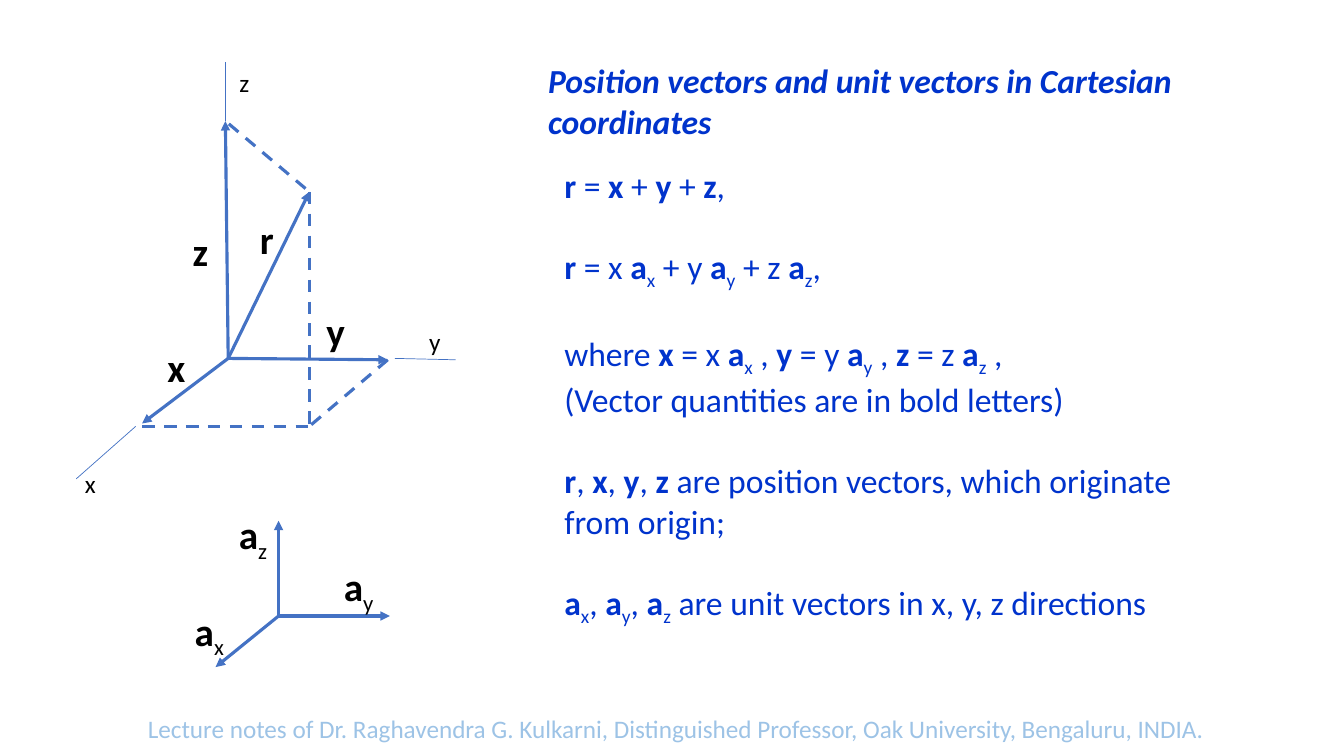
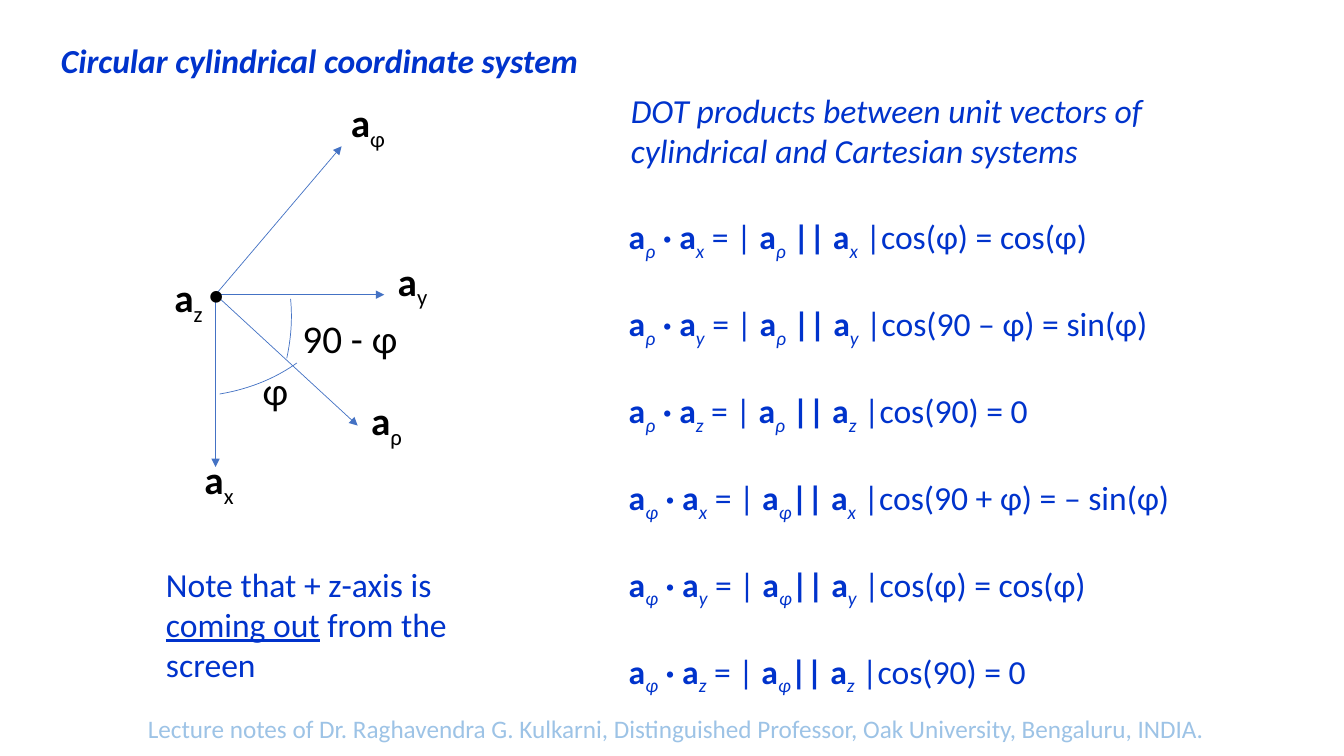
from itertools import groupby, product

from lxml.etree import SubElement
from pptx import Presentation
from pptx.dml.color import RGBColor
from pptx.enum.dml import MSO_LINE
from pptx.enum.shapes import MSO_CONNECTOR, MSO_SHAPE
from pptx.oxml.ns import qn
from pptx.util import Pt

COLORS = {"text": "0033CC", "label": "000000", "line": "4472C4", "footer": "9DC3E6"}
FONT = "Calibri"
THICK, THIN = 2.25, 0.5
LINE_GAP = 29.3
BOLD, SUB, ITALIC, UNDERLINE = MARKS = "*_~`"
FOOTER = (
    "Lecture notes of Dr. Raghavendra G. Kulkarni, Distinguished Professor, "
    "Oak University, Bengaluru, INDIA."
)


def rgb(name):
    return RGBColor.from_string(COLORS[name])


def add_runs(p, text):
    active = set()
    for is_mark, chars in groupby(text, lambda c: c in MARKS):
        if is_mark:
            active ^= set(chars)
            continue
        r = p.add_run()
        r.text = "".join(chars)
        if BOLD in active:
            r.font.bold = True
        if ITALIC in active:
            r.font.italic = True
        if UNDERLINE in active:
            r.font.underline = True
        if SUB in active:
            r._r.get_or_add_rPr().set("baseline", "-25000")


def add_text(s, box, paragraphs, size=24, color="text", bold=None, italic=None):
    tf = s.shapes.add_textbox(*map(Pt, box)).text_frame
    tf.word_wrap = True
    for i, (text, gap) in enumerate(paragraphs):
        p = tf.paragraphs[0] if i == 0 else tf.add_paragraph()
        p.space_before = Pt(gap)
        p.font.name, p.font.size = FONT, Pt(size)
        p.font.color.rgb = rgb(color)
        p.font.bold, p.font.italic = bold, italic
        add_runs(p, text)


def add_title(s, box, text):
    add_text(s, box, [(text, 0)], bold=True, italic=True)


def add_label(s, left, top, text, size=28, width=67):
    add_text(s, (left, top, width, 41), [(text, 0)], size, "label")


def add_line(s, start, end, width=THICK, arrow=False, dashed=False):
    c = s.shapes.add_connector(MSO_CONNECTOR.STRAIGHT, *map(Pt, start + end))
    c.line.color.rgb = rgb("line")
    c.line.width = Pt(width)
    if dashed:
        c.line.dash_style = MSO_LINE.DASH
    spPr = c._element.spPr
    if arrow:
        SubElement(spPr.find(qn("a:ln")), qn("a:tailEnd"), type="triangle")
    SubElement(spPr, qn("a:effectLst"))


def add_arc(s, box, start, end, rotation=0):
    sp = s.shapes.add_shape(MSO_SHAPE.ARC, *map(Pt, box))
    sp.shadow.inherit = False
    sp.fill.background()
    sp.line.color.rgb = rgb("line")
    sp.line.width = Pt(THIN)
    sp.adjustments[0], sp.adjustments[1] = start, end
    sp.rotation = rotation


def add_slide(prs):
    s = prs.slides.add_slide(prs.slide_layouts[6])
    add_text(s, (98.5, 506, 786, 29), [(FOOTER, 0)], 18, "footer")
    return s


def draw_position_vectors(s):
    origin, x_tip, y_tip, z_tip = (163, 256), (101.5, 302.5), (277, 257), (161, 86.5)
    r_tip, r_foot, x_corner = (221, 137), (221, 304.5), (101.5, 304.5)
    for tip in (x_tip, y_tip, z_tip, r_tip):
        add_line(s, origin, tip, arrow=True)
    for start, end in (
        (r_tip, r_foot),
        (x_corner, r_foot),
        ((163.5, 88.5), r_tip),
        (y_tip, r_foot),
    ):
        add_line(s, start, end, dashed=True)
    for start, end in (
        ((97, 304.5), (54.5, 342)),
        ((282, 256), (325.5, 257)),
        (z_tip, (161, 44.5)),
    ):
        add_line(s, start, end, THIN)
    for left, top, axis in ((53.5, 331, "x"), (299.5, 229.5, "y"), (164, 44.5, "z")):
        add_label(s, left, top, axis, 18, 42)
    for left, top, vector in (
        (112.5, 242, "x"),
        (226, 216, "y"),
        (130.5, 159, "z"),
        (178.5, 150, "r"),
    ):
        add_label(s, left, top, f"*{vector}*")


def draw_unit_vectors(s):
    origin = (199, 440)
    for axis, tip, left, top in (
        ("x", (154, 476.5), 132, 430),
        ("y", (278.5, 440), 238.5, 398),
        ("z", (199, 372), 163.5, 361),
    ):
        add_line(s, origin, tip, arrow=True)
        add_label(s, left, top, f"*a*_{axis}_")


def build_cartesian(prs):
    s = add_slide(prs)
    add_title(
        s,
        (384.5, 39.5, 524, 66),
        "Position vectors and unit vectors in Cartesian coordinates",
    )
    add_text(s, (396, 114, 491, 356), [
        ("*r* = *x* + *y* + *z*,", 0),
        ("*r* = x *a*_x_ + y *a*_y_ + z *a*_z_,", LINE_GAP),
        ("where *x* = x *a*_x_ , *y* = y *a*_y_ , *z* = z *a*_z_ ,", LINE_GAP),
        ("(Vector quantities are in bold letters)", 0),
        ("*r*, *x*, *y*, *z* are position vectors, which originate from origin;", LINE_GAP),
        ("*a*_x_, *a*_y_, *a*_z_ are unit vectors in x, y, z directions", LINE_GAP),
    ])
    draw_position_vectors(s)
    draw_unit_vectors(s)


def draw_cylindrical_vectors(s):
    origin = (154, 210.5)
    for axis, tip, left, top in (
        ("x", (154, 333.5), 139, 322),
        ("y", (274.5, 210.5), 277, 180),
        ("ρ", (255.5, 304), 258, 279.5),
        ("φ", (244, 104.5), 243.5, 67),
    ):
        add_line(s, origin, tip, THIN, arrow=True)
        add_label(s, left, top, f"*a*_{axis}_")
    add_label(s, 117.5, 192, "*a*_z_")
    add_label(s, 142, 196, "●", 18, 36)
    add_arc(s, (16, 106.5, 232.5, 177), 23.31, 44.43)
    add_arc(s, (-6, 170.5, 241, 171.5), 23.31, 37.98, 296.5)
    add_label(s, 180.5, 258, "φ")
    add_label(s, 209, 221, "90 - φ", width=105)


def build_cylindrical(prs):
    s = add_slide(prs)
    add_title(s, (36.5, 25, 424, 36), "Circular cylindrical coordinate system")
    draw_cylindrical_vectors(s)
    note = "Note that + z-axis is `coming out` from the screen"
    add_text(s, (111.5, 399, 222, 94), [(note, 0)])
    heading = "DOT products between unit vectors of cylindrical and Cartesian systems"
    add_text(s, (443.5, 60.5, 472, 66), [(heading, 0)], italic=True)
    results = (
        "cos(φ) = cos(φ)",
        "cos(90 – φ) = sin(φ)",
        "cos(90) = 0",
        "cos(90 + φ) = – sin(φ)",
        "cos(φ) = cos(φ)",
        "cos(90) = 0",
    )
    bars = {"ρ": " ||", "φ": "||"}
    equations = [
        (
            f"*a*~_{u}_~* · a*~_{v}_~ = |* a*~_{u}_~*{bars[u]} a*~_{v}_~ |{result}",
            LINE_GAP if i else 0,
        )
        for i, ((u, v), result) in enumerate(zip(product("ρφ", "xyz"), results))
    ]
    add_text(s, (442, 151, 490, 327), equations)


def main():
    prs = Presentation()
    prs.slide_width, prs.slide_height = Pt(960), Pt(540)
    build_cartesian(prs)
    build_cylindrical(prs)
    prs.save("out.pptx")


if __name__ == "__main__":
    main()
